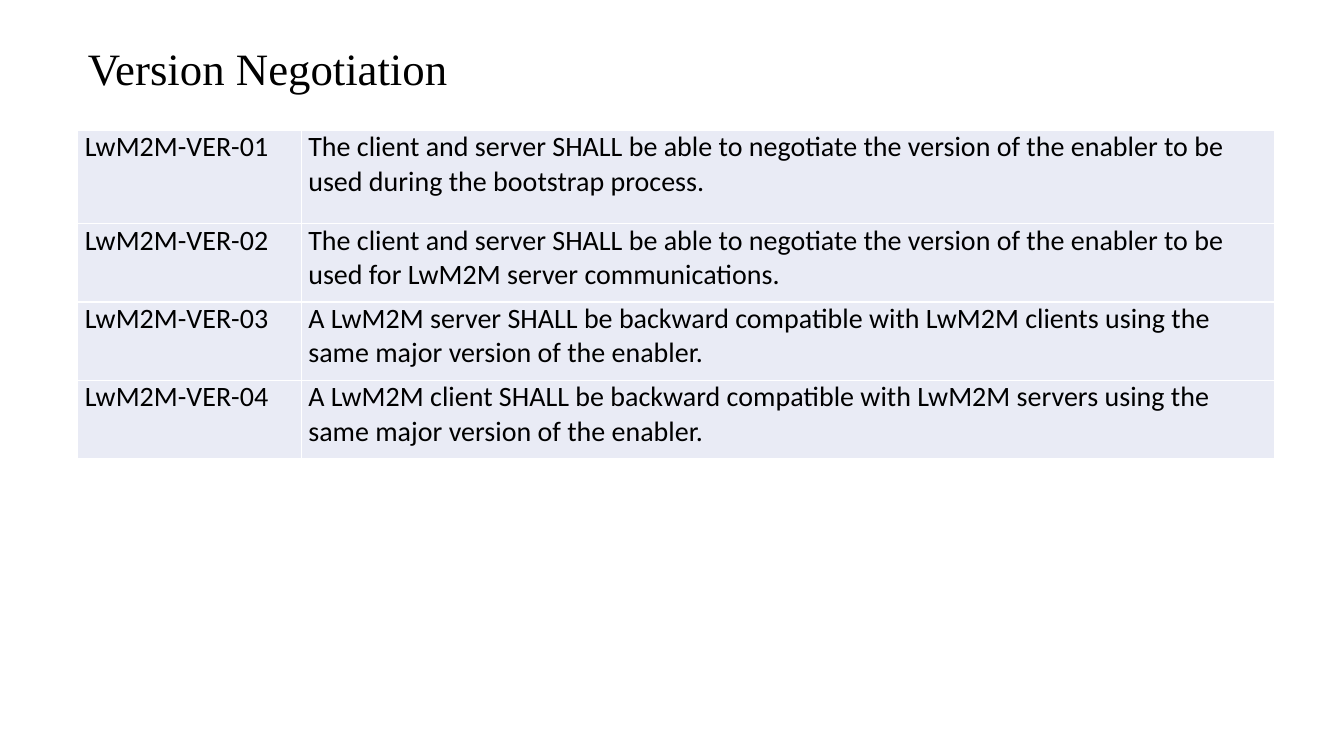
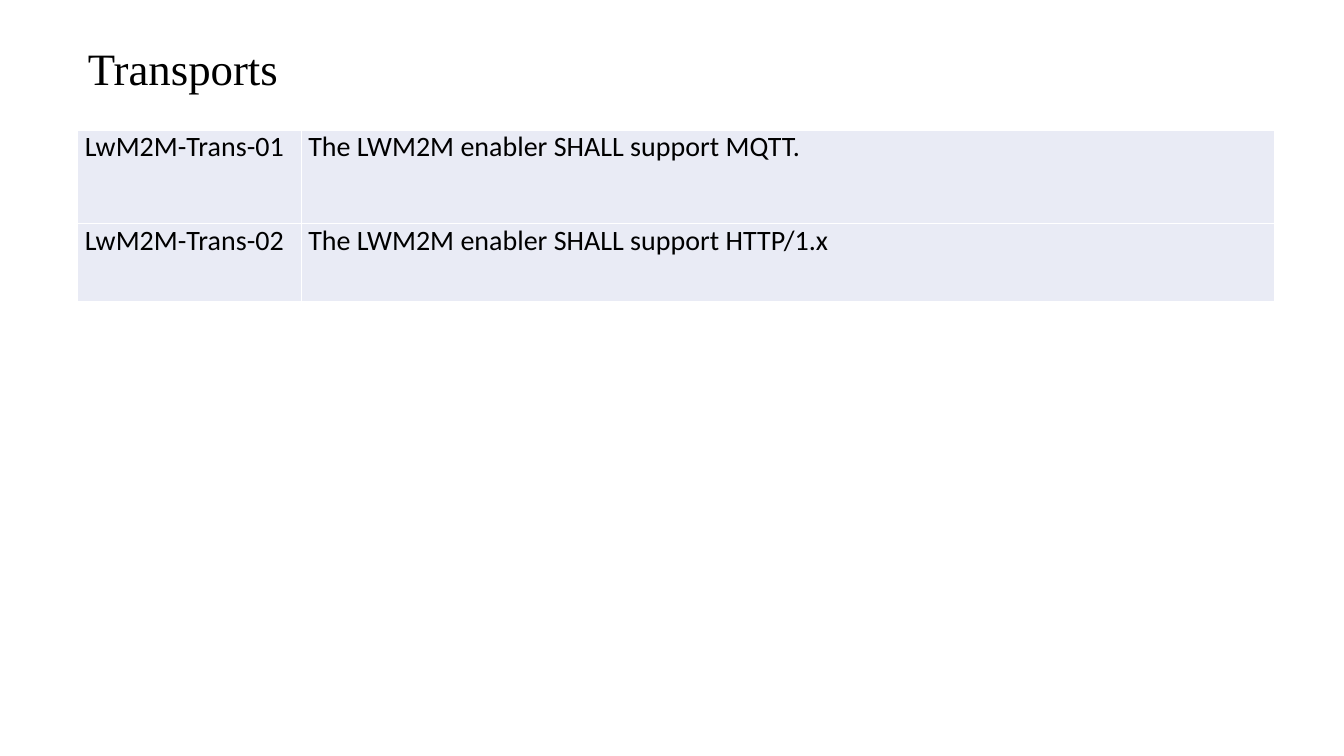
"""Build two slides of LwM2M requirements, each a title above a table."""
from pptx import Presentation
from pptx.dml.color import RGBColor
from pptx.enum.text import MSO_ANCHOR, MSO_AUTO_SIZE, PP_ALIGN
from pptx.util import Cm, Pt

LEFT = PP_ALIGN.LEFT
TOP, MIDDLE = MSO_ANCHOR.TOP, MSO_ANCHOR.MIDDLE
GROW = MSO_AUTO_SIZE.SHAPE_TO_FIT_TEXT

SLIDES = [
    ("Version Negotiation", [
        ("LwM2M-VER-01", "The client and server SHALL be able to negotiate the version "
         "of the enabler to be used during the bootstrap process."),
        ("LwM2M-VER-02", "The client and server SHALL be able to negotiate the version "
         "of the enabler to be used for LwM2M server communications."),
        ("LwM2M-VER-03", "A LwM2M server SHALL be backward compatible with LwM2M clients "
         "using the same major version of the enabler."),
        ("LwM2M-VER-04", "A LwM2M client SHALL be backward compatible with LwM2M servers "
         "using the same major version of the enabler."),
    ]),
    ("Transports", [
        ("LwM2M-Trans-01", "The LWM2M enabler SHALL support MQTT."),
        ("LwM2M-Trans-02", "The LWM2M enabler SHALL support HTTP/1.x"),
    ]),
]

INK, PALE = "000000", "E9EBF5"
EDGE = Cm(1.96)
COLS = Cm(5.63), Cm(24.54)
FIRST, NEXT = Cm(2.36), Cm(1.97)


def color(code):
    return RGBColor.from_string(code)


def style(para, face, size):
    para.alignment = LEFT
    para.font.name = face
    para.font.size = Pt(size)
    para.font.color.rgb = color(INK)


def add_title(slide, text):
    title = slide.shapes.title
    title.left, title.top = EDGE, Cm(0.89)
    title.width, title.height = Cm(28.6), Cm(1.63)
    frame = title.text_frame
    frame.text = text
    frame.word_wrap = True
    frame.auto_size = GROW
    frame.vertical_anchor = MIDDLE
    style(frame.paragraphs[0], "Times New Roman", 32)


def fill_cell(cell, text):
    cell.text = text
    cell.fill.solid()
    cell.fill.fore_color.rgb = color(PALE)
    cell.margin_left = cell.margin_right = Cm(0.18)
    cell.margin_top = cell.margin_bottom = 0
    cell.vertical_anchor = TOP
    para = cell.text_frame.paragraphs[0]
    para.space_before = para.space_after = Pt(1)
    style(para, "Calibri", 20)


def add_rules(slide, rules):
    highs = [FIRST] + [NEXT] * (len(rules) - 1)
    table = slide.shapes.add_table(
        len(rules), len(COLS), EDGE, Cm(3.28), sum(COLS), sum(highs)).table
    table.first_row = table.horz_banding = False
    for col, width in zip(table.columns, COLS):
        col.width = width
    for row, high, rule in zip(table.rows, highs, rules):
        row.height = high
        for cell, text in zip(row.cells, rule):
            fill_cell(cell, text)


deck = Presentation()
deck.slide_width, deck.slide_height = Cm(33.87), Cm(19.05)
for name, rules in SLIDES:
    slide = deck.slides.add_slide(deck.slide_layouts[5])
    add_rules(slide, rules)
    add_title(slide, name)
deck.save("out.pptx")
